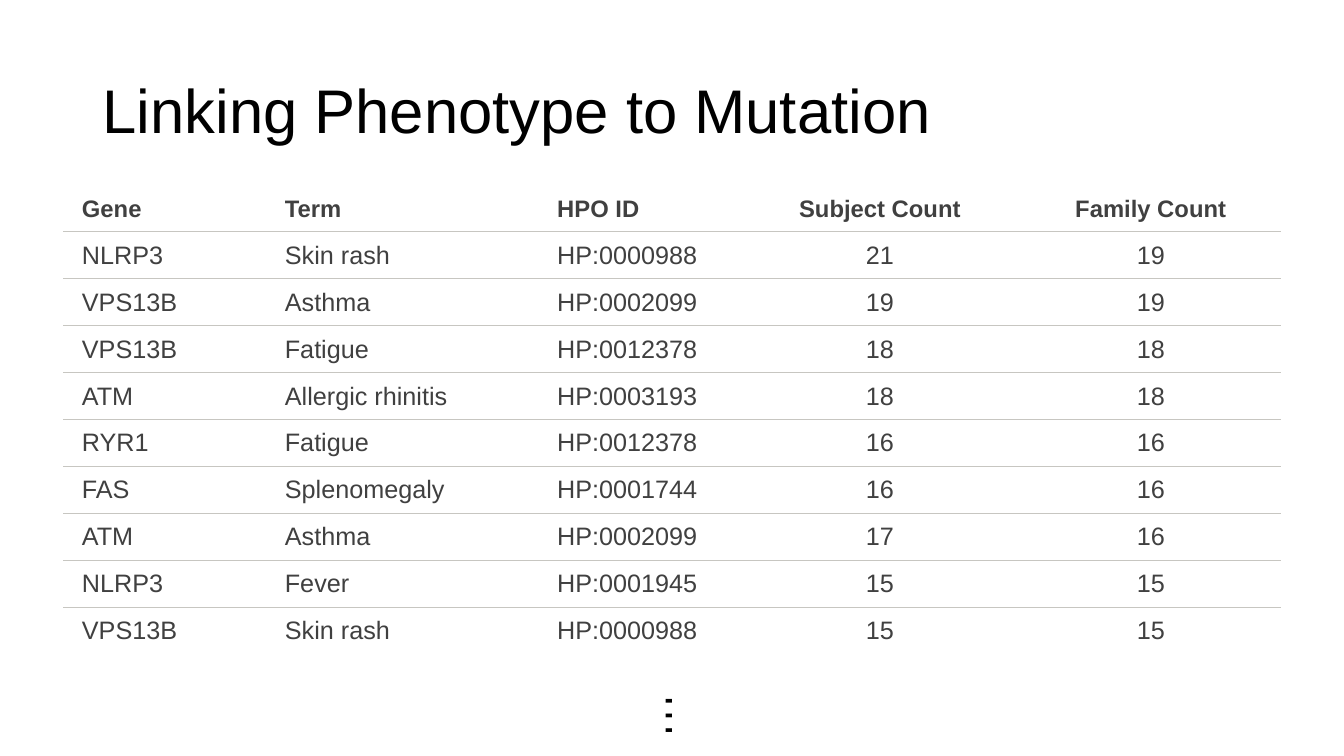
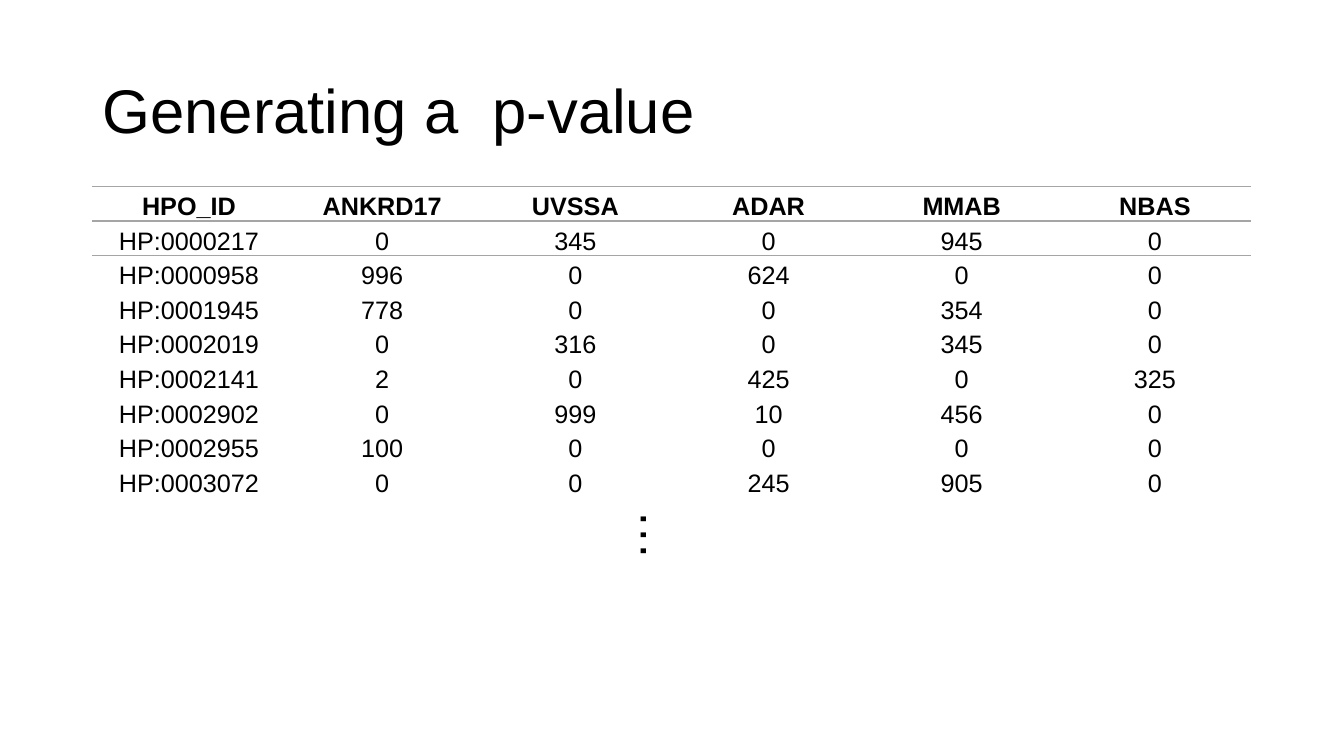
from lxml.etree import SubElement
from pptx import Presentation
from pptx.dml.color import RGBColor
from pptx.enum.text import MSO_ANCHOR as Anchor, MSO_AUTO_SIZE as AutoSize, PP_ALIGN as Align
from pptx.oxml.ns import qn
from pptx.util import Pt

BLACK = RGBColor(0x00, 0x00, 0x00)
DARK_GREY = RGBColor(0x40, 0x40, 0x40)
RULE_LIGHT = RGBColor(0xC7, 0xC6, 0xC1)
RULE_GREY = RGBColor(0xA5, 0xA5, 0xA5)
SANS = "Arial"
DISPLAY = "TeX Gyre Adventor"
NO_STYLE = "{2D5ABB26-0587-4C30-8999-92F81FD0307C}"
TITLE_ONLY = 5

SLIDE_SIZE = (960, 540)
TITLE_BOX = (66, 28.75, 828, 104.4)
ELLIPSIS_SIZE = (58.2, 44)

PHENOTYPE_ROWS = [
    ("Gene", "Term", "HPO ID", "Subject Count", "Family Count"),
    ("NLRP3", "Skin rash", "HP:0000988", 21, 19),
    ("VPS13B", "Asthma", "HP:0002099", 19, 19),
    ("VPS13B", "Fatigue", "HP:0012378", 18, 18),
    ("ATM", "Allergic rhinitis", "HP:0003193", 18, 18),
    ("RYR1", "Fatigue", "HP:0012378", 16, 16),
    ("FAS", "Splenomegaly", "HP:0001744", 16, 16),
    ("ATM", "Asthma", "HP:0002099", 17, 16),
    ("NLRP3", "Fever", "HP:0001945", 15, 15),
    ("VPS13B", "Skin rash", "HP:0000988", 15, 15),
]
PHENOTYPE_FORMAT = {
    "widths": (145, 194.5, 143.5, 197.5, 189.5),
    "heights": [38.75] + [33.55] * 9,
    "margins": (13.5, 6.5, 10, 6.5),
    "header_size": 17,
    "color": DARK_GREY,
    "left_columns": 3,
    "rules": range(1, 10),
    "rule_color": RULE_LIGHT,
    "rule_width": 0.75,
}

COUNT_ROWS = [
    ("HPO_ID", "ANKRD17", "UVSSA", "ADAR", "MMAB", "NBAS"),
    ("HP:0000217", 0, 345, 0, 945, 0),
    ("HP:0000958", 996, 0, 624, 0, 0),
    ("HP:0001945", 778, 0, 0, 354, 0),
    ("HP:0002019", 0, 316, 0, 345, 0),
    ("HP:0002141", 2, 0, 425, 0, 325),
    ("HP:0002902", 0, 999, 10, 456, 0),
    ("HP:0002955", 100, 0, 0, 0, 0),
    ("HP:0003072", 0, 0, 245, 905, 0),
]
COUNT_FORMAT = {
    "widths": [138] * 6,
    "heights": [24.7] * 9,
    "margins": (0.5, 0.5, 0.5, 0),
    "header_size": 18,
    "color": BLACK,
    "left_columns": 0,
    "rules": (0, 1),
    "rule_color": RULE_GREY,
    "rule_width": 1,
}


def set_font(span, **values):
    color = values.pop("color")
    for name, value in values.items():
        setattr(span.font, name, value)
    span.font.color.rgb = color


def add_title(page, text, box):
    title = page.shapes.title
    for name, value in zip(("left", "top", "width", "height"), box):
        setattr(title, name, Pt(value))
    frame = title.text_frame
    frame.auto_size = AutoSize.NONE
    frame.vertical_anchor = Anchor.MIDDLE
    para = frame.paragraphs[0]
    para.alignment = Align.LEFT
    para.line_spacing = 0.9
    span = para.add_run()
    span.text = text
    set_font(span, name=SANS, size=Pt(44), color=BLACK)


def add_border(cell, side, color, width):
    """Draw one side of a cell; sides must be added in the order T, B."""
    line = SubElement(cell._tc.get_or_add_tcPr(), qn(f"a:ln{side}"), w=str(Pt(width)))
    fill = SubElement(line, qn("a:solidFill"))
    SubElement(fill, qn("a:srgbClr"), val=str(color))


def fill_cell(cell, value, row, column, style):
    for side, margin in zip(("left", "top", "right", "bottom"), style["margins"]):
        setattr(cell, f"margin_{side}", Pt(margin))
    cell.vertical_anchor = Anchor.BOTTOM
    for side, boundary in (("T", row), ("B", row + 1)):
        if boundary in style["rules"]:
            add_border(cell, side, style["rule_color"], style["rule_width"])
    cell.fill.background()
    para = cell.text_frame.paragraphs[0]
    para.alignment = Align.LEFT if column < style["left_columns"] else Align.CENTER
    span = para.add_run()
    span.text = str(value)
    size = style["header_size"] if row == 0 else 18
    set_font(span, name=SANS, size=Pt(size), bold=row == 0, color=style["color"])


def add_ruled_table(page, rows, style, left, top):
    widths, heights = style["widths"], style["heights"]
    frame = page.shapes.add_table(
        len(rows), len(widths), Pt(left), Pt(top), Pt(sum(widths)), Pt(sum(heights)))
    table = frame.table
    table.first_row = table.horz_banding = False
    table._tbl.tblPr.find(qn("a:tableStyleId")).text = NO_STYLE
    for column, width in zip(table.columns, widths):
        column.width = Pt(width)
    for line, height in zip(table.rows, heights):
        line.height = Pt(height)
    for row, values in enumerate(rows):
        for column, value in enumerate(values):
            fill_cell(table.cell(row, column), value, row, column, style)


def add_ellipsis(page, left, top, font):
    """Add the upright dots that show the table goes on."""
    box = page.shapes.add_textbox(Pt(left), Pt(top), *map(Pt, ELLIPSIS_SIZE))
    frame = box.text_frame
    frame.word_wrap = False
    frame.auto_size = AutoSize.SHAPE_TO_FIT_TEXT
    frame._txBody.bodyPr.set("vert", "vert270")
    span = frame.paragraphs[0].add_run()
    span.text = "…"
    set_font(span, name=font, size=Pt(36), color=BLACK)


def add_table_slide(deck, title, rows, style, table_at, dots_at, dots_font):
    page = deck.slides.add_slide(deck.slide_layouts[TITLE_ONLY])
    add_title(page, title, TITLE_BOX)
    add_ruled_table(page, rows, style, *table_at)
    add_ellipsis(page, *dots_at, dots_font)


def main():
    deck = Presentation()
    deck.slide_width, deck.slide_height = map(Pt, SLIDE_SIZE)
    add_table_slide(deck, "Linking Phenotype to Mutation", PHENOTYPE_ROWS,
                    PHENOTYPE_FORMAT, (45, 126.75), (440.5, 489.5), DISPLAY)
    add_table_slide(deck, "Generating a  p-value", COUNT_ROWS,
                    COUNT_FORMAT, (66, 133.15), (422, 363.5), SANS)
    deck.save("out.pptx")


if __name__ == "__main__":
    main()
